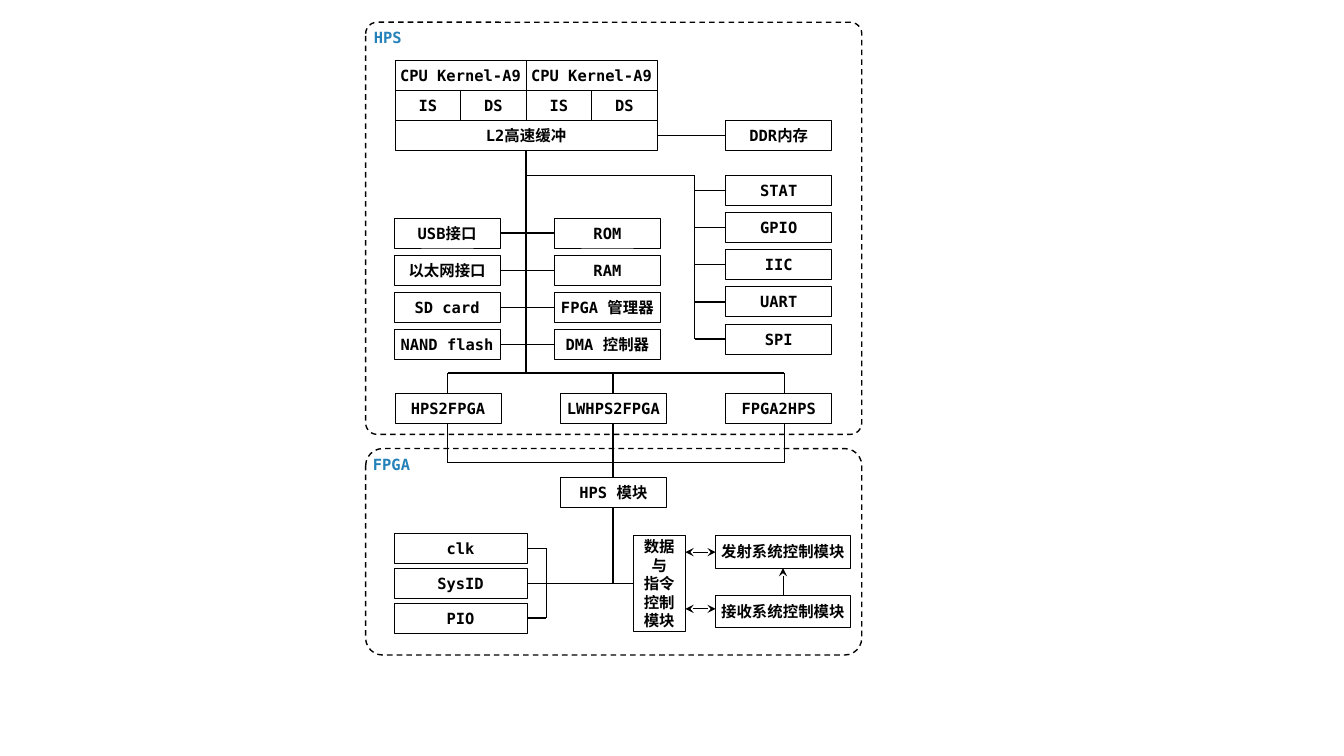
from lxml import etree
from pptx import Presentation
from pptx.dml.color import RGBColor
from pptx.enum.dml import MSO_LINE
from pptx.enum.shapes import MSO_CONNECTOR, MSO_SHAPE
from pptx.enum.text import MSO_ANCHOR, PP_ALIGN
from pptx.oxml.ns import qn
from pptx.util import Pt

BLACK = RGBColor(0x00, 0x00, 0x00)
BLUE = RGBColor(0x24, 0x81, 0xBA)
FONT = "DejaVu Sans Mono"
RECTANGLE = MSO_SHAPE.RECTANGLE
ROUNDED = MSO_SHAPE.ROUNDED_RECTANGLE
STRAIGHT = MSO_CONNECTOR.STRAIGHT
DASH = MSO_LINE.DASH
CENTER = PP_ALIGN.CENTER
MIDDLE = MSO_ANCHOR.MIDDLE

CORES = ["CPU Kernel-A9", "CPU Kernel-A9"]
CACHES = ["IS", "DS", "IS", "DS"]
PERIPHERALS = ["STAT", "GPIO", "IIC", "UART", "SPI"]
INTERFACES = ["USB接口", "以太网接口", "SD card", "NAND flash"]
MEMORIES = ["ROM", "RAM", "FPGA 管理器", "DMA 控制器"]
BRIDGES = [("HPS2FPGA", 319.7), ("LWHPS2FPGA", 437.8), ("FPGA2HPS", 560.2)]
INPUTS = [("clk", 380.9), ("SysID", 406.2), ("PIO", 430.7)]
CONTROLLERS = [("发射系统控制模块", 382.5, 394.4), ("接收系统控制模块", 425, 434.9)]
DATA_MODULE = "数据\n与\n指令\n控制\n模块"
REGIONS = [
    ("HPS", (261.2, 20.9, 31.7, 12.2), (15.9, 294.4), 0.028),
    ("FPGA", (257, 324, 45.4, 15.1), (320.4, 147.5), 0.083),
]

BOX_WIDTH, BOX_HEIGHT = 75.8, 21.5
CORE_LEFT, CORE_TOP, CACHE_WIDTH = 282.2, 43.2, 46.8
TRUNK = CORE_LEFT + 2 * CACHE_WIDTH
CORE_RIGHT = CORE_LEFT + 4 * CACHE_WIDTH
RIGHT_LEFT, RIGHT_TOP, RIGHT_PITCH, RIGHT_BUS = 518.4, 125.4, 26.5, 496.1
PAIR_TOP, PAIR_PITCH, INTERFACE_LEFT, MEMORY_LEFT = 155.7, 26.6, 281.5, 396
BRIDGE_TOP, BRIDGE_PITCH, UPPER_BUS, LOWER_BUS = 280.8, 118.1, 266.4, 330.5
INPUT_LEFT, INPUT_WIDTH, INPUT_BUS = 281.5, 95, 390.2
MODULE_TOP, DATA_LEFT, DATA_WIDTH = 341.3, 452.2, 37.4
CONTROL_LEFT, CONTROL_WIDTH, CONTROL_HEIGHT = 511.2, 96.2, 23.3

deck = Presentation()
deck.slide_width, deck.slide_height = Pt(960), Pt(540)
page = deck.slides.add_slide(deck.slide_layouts[6])


def write(shape, text, color=BLACK):
    frame = shape.text_frame
    frame.word_wrap = True
    frame.vertical_anchor = MIDDLE
    frame.margin_left = frame.margin_right = frame.margin_top = frame.margin_bottom = 0
    frame.text = text
    for para in frame.paragraphs:
        para.alignment = CENTER
        para.font.name = FONT
        para.font.size = Pt(11)
        para.font.bold = True
        para.font.color.rgb = color


def outline(kind, left, top, width, height, weight):
    shape = page.shapes.add_shape(kind, Pt(left), Pt(top), Pt(width), Pt(height))
    shape.shadow.inherit = False
    shape.fill.background()
    shape.line.color.rgb = BLACK
    shape.line.width = Pt(weight)
    return shape


def box(text, left, top, width=BOX_WIDTH, height=BOX_HEIGHT):
    write(outline(RECTANGLE, left, top, width, height, 0.5), text)


def wire(start_x, start_y, end_x, end_y, weight=1, arrows=()):
    line = page.shapes.add_connector(STRAIGHT, Pt(start_x), Pt(start_y), Pt(end_x), Pt(end_y))
    line.line.color.rgb = BLACK
    line.line.width = Pt(weight)
    properties = line._element.spPr
    for arrow in arrows:
        etree.SubElement(properties.find(qn("a:ln")), qn(arrow), type="stealth")
    etree.SubElement(properties, qn("a:effectLst"))


def draw_regions():
    for name, label_area, (top, height), rounding in REGIONS:
        frame = outline(ROUNDED, 261.2, top, 354.4, height, 1)
        frame.adjustments[0] = rounding
        frame.line.dash_style = DASH
        label = page.shapes.add_textbox(*map(Pt, label_area))
        write(label, name, color=BLUE)


def draw_processor():
    for index, core in enumerate(CORES):
        box(core, CORE_LEFT + 2 * index * CACHE_WIDTH, CORE_TOP, 2 * CACHE_WIDTH)
    for index, cache in enumerate(CACHES):
        box(cache, CORE_LEFT + index * CACHE_WIDTH, CORE_TOP + BOX_HEIGHT, CACHE_WIDTH)
    level_two_top = CORE_TOP + 2 * BOX_HEIGHT
    box("L2高速缓冲", CORE_LEFT, level_two_top, 4 * CACHE_WIDTH)
    box("DDR内存", RIGHT_LEFT, level_two_top)
    link = level_two_top + BOX_HEIGHT / 2
    wire(CORE_RIGHT, link, RIGHT_LEFT, link)
    wire(TRUNK, level_two_top + BOX_HEIGHT, TRUNK, UPPER_BUS)


def draw_peripherals():
    for index, name in enumerate(PERIPHERALS):
        top = RIGHT_TOP + index * RIGHT_PITCH
        middle = top + BOX_HEIGHT / 2
        box(name, RIGHT_LEFT, top)
        wire(RIGHT_BUS, middle, RIGHT_LEFT, middle)
    wire(RIGHT_BUS, RIGHT_TOP, RIGHT_BUS, middle)
    wire(TRUNK, RIGHT_TOP, RIGHT_BUS, RIGHT_TOP)
    for index, (interface, memory) in enumerate(zip(INTERFACES, MEMORIES)):
        top = PAIR_TOP + index * PAIR_PITCH
        middle = top + BOX_HEIGHT / 2
        box(interface, INTERFACE_LEFT, top)
        box(memory, MEMORY_LEFT, top)
        wire(INTERFACE_LEFT + BOX_WIDTH, middle, MEMORY_LEFT, middle)


def draw_bridges():
    for index, (name, center) in enumerate(BRIDGES):
        box(name, CORE_LEFT + index * BRIDGE_PITCH, BRIDGE_TOP)
        wire(center, UPPER_BUS, center, BRIDGE_TOP)
        wire(center, BRIDGE_TOP + BOX_HEIGHT, center, LOWER_BUS)
    for bus in (UPPER_BUS, LOWER_BUS):
        wire(BRIDGES[0][1], bus, BRIDGES[-1][1], bus)


def draw_fabric():
    center = BRIDGES[1][1]
    middles = [top + BOX_HEIGHT / 2 for name, top in INPUTS]
    input_right = INPUT_LEFT + INPUT_WIDTH
    box("HPS 模块", CORE_LEFT + BRIDGE_PITCH, MODULE_TOP)
    wire(center, LOWER_BUS, center, MODULE_TOP)
    wire(center, MODULE_TOP + BOX_HEIGHT, center, middles[1])
    for (name, top), middle, end in zip(INPUTS, middles, (INPUT_BUS, DATA_LEFT, INPUT_BUS)):
        box(name, INPUT_LEFT, top, INPUT_WIDTH)
        wire(input_right, middle, end, middle)
    wire(INPUT_BUS, middles[0], INPUT_BUS, middles[-1])

    box(DATA_MODULE, DATA_LEFT, 382.5, DATA_WIDTH, 68.5)
    for name, top, link in CONTROLLERS:
        box(name, CONTROL_LEFT, top, CONTROL_WIDTH, CONTROL_HEIGHT)
        wire(DATA_LEFT + DATA_WIDTH, link, CONTROL_LEFT, link, weight=0.5,
             arrows=("a:headEnd", "a:tailEnd"))
    control_center = CONTROL_LEFT + CONTROL_WIDTH / 2
    wire(control_center, CONTROLLERS[0][1] + CONTROL_HEIGHT, control_center, CONTROLLERS[1][1],
         weight=0.5, arrows=("a:headEnd",))


draw_regions()
draw_processor()
draw_peripherals()
draw_bridges()
draw_fabric()
deck.save("out.pptx")
